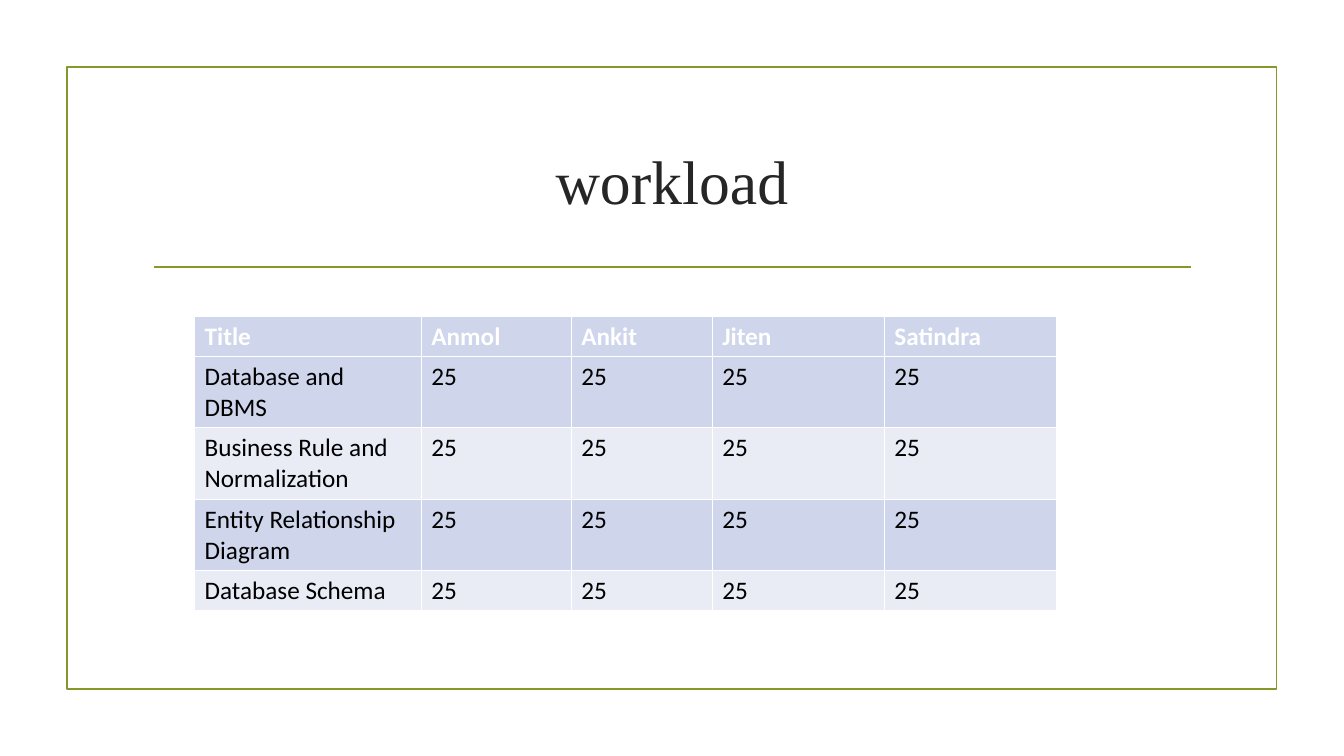
from dataclasses import dataclass

from lxml import etree
from pptx import Presentation
from pptx.dml.color import RGBColor
from pptx.enum import shapes, text
from pptx.oxml import ns
from pptx.util import Pt


@dataclass
class Theme:
    olive = RGBColor.from_string("83992A")
    heading = RGBColor.from_string("262626")
    white = RGBColor.from_string("FFFFFF")
    black = RGBColor.from_string("000000")
    band_dark = RGBColor.from_string("CFD5EA")
    band_light = RGBColor.from_string("E9EBF5")
    heading_font = "Times New Roman"
    body_font = "Calibri"
    heading_size = Pt(44)
    body_size = Pt(18)
    rule_width = Pt(1.25)
    grid_width = Pt(0.75)
    top_width = Pt(2.25)


theme = Theme()


def style_font(paragraph, name, size, color, bold=False):
    font = paragraph.runs[0].font
    font.name, font.size, font.bold = name, size, bold
    font.color.rgb = color


def add_border(cell, position, side, width):
    line = etree.Element(ns.qn(f"a:ln{side}"), w=str(int(width)))
    fill = etree.SubElement(line, ns.qn("a:solidFill"))
    etree.SubElement(fill, ns.qn("a:srgbClr"), val=str(theme.white))
    cell._tc.get_or_add_tcPr().insert(position, line)


deck = Presentation()
deck.slide_width, deck.slide_height = Pt(960), Pt(540)
slide = deck.slides.add_slide(deck.slide_layouts[6])

frame = slide.shapes.add_shape(
    shapes.MSO_SHAPE.RECTANGLE, Pt(47.75), Pt(48), Pt(864), Pt(444))
frame.shadow.inherit = False
frame.fill.background()
frame.line.color.rgb = theme.olive
frame.line.width = theme.rule_width

divider = slide.shapes.add_connector(
    shapes.MSO_CONNECTOR.STRAIGHT, Pt(110), Pt(190.75), Pt(850.5), Pt(190.75))
divider.line.color.rgb = theme.olive
divider.line.width = theme.rule_width
etree.SubElement(divider._element.spPr, ns.qn("a:effectLst"))

heading = slide.shapes.add_textbox(Pt(102), Pt(77), Pt(756), Pt(103)).text_frame
heading.word_wrap = True
heading.vertical_anchor = text.MSO_ANCHOR.MIDDLE
heading.text = "workload"
heading.paragraphs[0].alignment = text.PP_ALIGN.CENTER
style_font(heading.paragraphs[0], theme.heading_font, theme.heading_size, theme.heading)

members = ["Anmol", "Ankit", "Jiten", "Satindra"]
tasks = [
    "Database and DBMS",
    "Business Rule and Normalization",
    "Entity Relationship Diagram",
    "Database Schema",
]
rows = [["Title", *members]] + [[task] + ["25"] * len(members) for task in tasks]
column_widths = [162, 107, 100.75, 123, 123]
row_heights = [28.5, 51, 51, 51, 28.5]

workload = slide.shapes.add_table(
    len(rows), len(column_widths), Pt(139), Pt(225.75),
    Pt(sum(column_widths)), Pt(sum(row_heights))).table
for column, width in zip(workload.columns, column_widths):
    column.width = Pt(width)
for row, height in zip(workload.rows, row_heights):
    row.height = Pt(height)

for r, values in enumerate(rows):
    is_header = r == 0
    for c, value in enumerate(values):
        cell = workload.cell(r, c)
        cell.text = value
        style_font(cell.text_frame.paragraphs[0], theme.body_font, theme.body_size,
                   theme.white if is_header else theme.black, is_header)
        cell.fill.solid()
        cell.fill.fore_color.rgb = (
            theme.band_dark if is_header or r % 2 else theme.band_light)
        for position, side in enumerate("LRTB"):
            width = theme.top_width if is_header and side == "T" else theme.grid_width
            add_border(cell, position, side, width)

deck.save("out.pptx")
